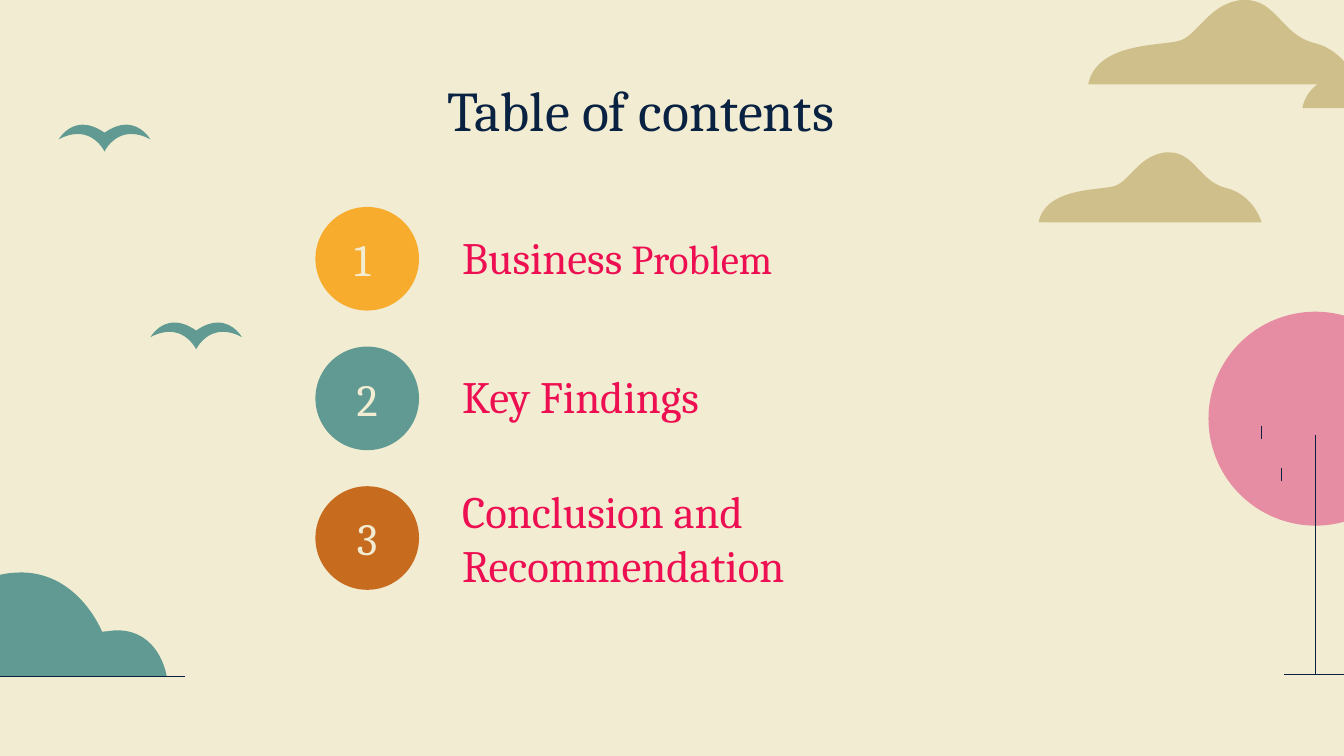
from dataclasses import dataclass

from lxml import etree
from pptx import Presentation
from pptx.dml.color import RGBColor
from pptx.enum.shapes import MSO_CONNECTOR, MSO_SHAPE
from pptx.enum.text import MSO_ANCHOR as ANCHOR, PP_ALIGN as ALIGN
from pptx.oxml.ns import qn
from pptx.util import Pt

NAVY, TEAL, SAND, CREAM = "092242", "609A92", "CFBF8B", "F2ECD2"
PINK, RED, AMBER, RUST = "E68CA3", "ED0F51", "F7AC2D", "C76C1F"

Outline = list[tuple[float, ...]]

CLOUD: Outline = [
    (82, 0),
    (63.4, 2.2, 58.3, 20.9, 46.8, 22.3),
    (35.3, 24.5, 4.3, 23.8, 0, 45.2),
    (144, 45.2),
    (144, 45.2, 139, 27.4, 121, 23),
    (103.7, 18.7, 100.8, 0, 84.2, 0),
]
BIRD: Outline = [
    (13, 0),
    (4.3, 0, 0, 7.9, 0, 7.9),
    (3.6, 5.8, 7.2, 5, 10.1, 5),
    (20.2, 5, 24.5, 14.4, 24.5, 14.4),
    (24.5, 14.4, 28.8, 5, 38.9, 5),
    (41.8, 5, 45.4, 5.8, 49, 7.9),
    (49, 7.9, 44.7, 0, 36, 0),
    (32.4, 0, 28.8, 1.4, 24.5, 4.3),
    (20.2, 1.4, 16.6, 0, 13, 0),
]
BUSH: Outline = [
    (83.5, 0),
    (54, 0, 42.5, 23, 42.5, 23),
    (42.5, 23, 2.2, 24.5, 0, 55.4),
    (161.3, 55.4),
    (161.3, 55.4, 157.7, 31, 134.6, 31),
    (132.5, 31, 129.6, 31.7, 126.7, 31.7),
    (126.7, 31.7, 114.5, 0.7, 84.2, 0),
]


@dataclass
class Scenery:
    outline: Outline
    x: float
    y: float
    color: str
    scale: float = 1


@dataclass
class Line:
    x1: float
    y1: float
    x2: float
    y2: float


@dataclass
class Entry:
    number: str
    color: str
    runs: list[tuple[str, float]]
    label_y: float


SCENERY = [
    Scenery(CLOUD, 697.7, 12.7, SAND),
    Scenery(CLOUD, 583, 0, SAND),
    Scenery(CLOUD, 556.4, 81.6, SAND, 0.83),
    Scenery(BIRD, 31.5, 66.8, TEAL),
    Scenery(BIRD, 80.6, 172.8, TEAL),
    Scenery(BUSH, -72, 306.7, TEAL),
]
LINES = [
    Line(704.7, 233, 704.7, 361.2),
    Line(687.9, 361.2, 720, 361.2),
    Line(675.8, 228.2, 675.8, 235.2),
    Line(686.3, 250.8, 686.3, 257.8),
    Line(-84.2, 362.2, 99.1, 362.2),
]
ENTRIES = [
    Entry("1 ", AMBER, [("Business", 24), (" Problem", 22)], 115.9),
    Entry("2", TEAL, [("Key Findings", 24)], 190.1),
    Entry("3", RUST, [("Conclusion and Recommendation", 24)], 252),
]
CIRCLE_X, CIRCLE_Y, CIRCLE_D, ROW_STEP = 169, 110.9, 55.5, 74.8


def rgb(value: str) -> RGBColor:
    return RGBColor.from_string(value)


def paint(sp, color: str) -> None:
    sp.shadow.inherit = False
    sp.fill.solid()
    sp.fill.fore_color.rgb = rgb(color)
    sp.line.fill.background()


def add_scenery(s, item: Scenery) -> None:
    points = [(Pt(seg[i] * item.scale), Pt(seg[i + 1] * item.scale))
              for seg in item.outline for i in range(0, len(seg), 2)]
    builder = s.shapes.build_freeform(*points[0])
    builder.add_line_segments(points[1:], close=True)
    sp = builder.convert_to_shape(Pt(item.x), Pt(item.y))
    steps = iter(list(sp._element.iter(qn("a:lnTo"))))
    for seg in item.outline[1:]:
        first = next(steps)
        if len(seg) == 6:
            curve = etree.Element(qn("a:cubicBezTo"))
            first.addprevious(curve)
            for step in (first, next(steps), next(steps)):
                curve.append(step[0])
                step.getparent().remove(step)
    paint(sp, item.color)


def add_circle(s, x: float, y: float, d: float, color: str) -> None:
    paint(s.shapes.add_shape(MSO_SHAPE.OVAL, Pt(x), Pt(y), Pt(d), Pt(d)), color)


def add_line(s, line: Line) -> None:
    sp = s.shapes.add_connector(MSO_CONNECTOR.STRAIGHT, Pt(line.x1), Pt(line.y1),
                                Pt(line.x2), Pt(line.y2))
    sp.line.color.rgb = rgb(NAVY)
    sp.line.width = Pt(0.54)
    etree.SubElement(sp._element.spPr, qn("a:effectLst"))


def add_text(s, runs: list[tuple[str, float]], *, x: float, y: float, w: float,
             h: float, color: str, align=ALIGN.LEFT, anchor=ANCHOR.TOP) -> None:
    tf = s.shapes.add_textbox(Pt(x), Pt(y), Pt(w), Pt(h)).text_frame
    tf.word_wrap = True
    tf.vertical_anchor = anchor
    tf.margin_left = tf.margin_right = tf.margin_top = tf.margin_bottom = Pt(7.2)
    p = tf.paragraphs[0]
    p.alignment = align
    for text, size in runs:
        r = p.add_run()
        r.text = text
        r.font.name = "Cambria"
        r.font.size = Pt(size)
        r.font.color.rgb = rgb(color)


def main() -> None:
    prs = Presentation()
    prs.slide_width, prs.slide_height = Pt(720), Pt(405)
    s = prs.slides.add_slide(prs.slide_layouts[6])
    s.background.fill.solid()
    s.background.fill.fore_color.rgb = rgb(CREAM)

    add_circle(s, 647.4, 167, 114.6, PINK)
    for item in SCENERY:
        add_scenery(s, item)
    for line in LINES:
        add_line(s, line)

    add_text(s, [("Table of contents", 30)], x=40.3, y=33.1, w=606.2, h=37.4,
             color=NAVY, align=ALIGN.CENTER)
    for i, entry in enumerate(ENTRIES):
        y = CIRCLE_Y + i * ROW_STEP
        add_circle(s, CIRCLE_X, y, CIRCLE_D, entry.color)
        add_text(s, [(entry.number, 24)], x=CIRCLE_X, y=y - 2.9, w=CIRCLE_D, h=61.2,
                 color=CREAM, align=ALIGN.CENTER, anchor=ANCHOR.MIDDLE)
        add_text(s, entry.runs, x=240.5, y=entry.label_y, w=297.4, h=37.4, color=RED)

    prs.save("out.pptx")


if __name__ == "__main__":
    main()
